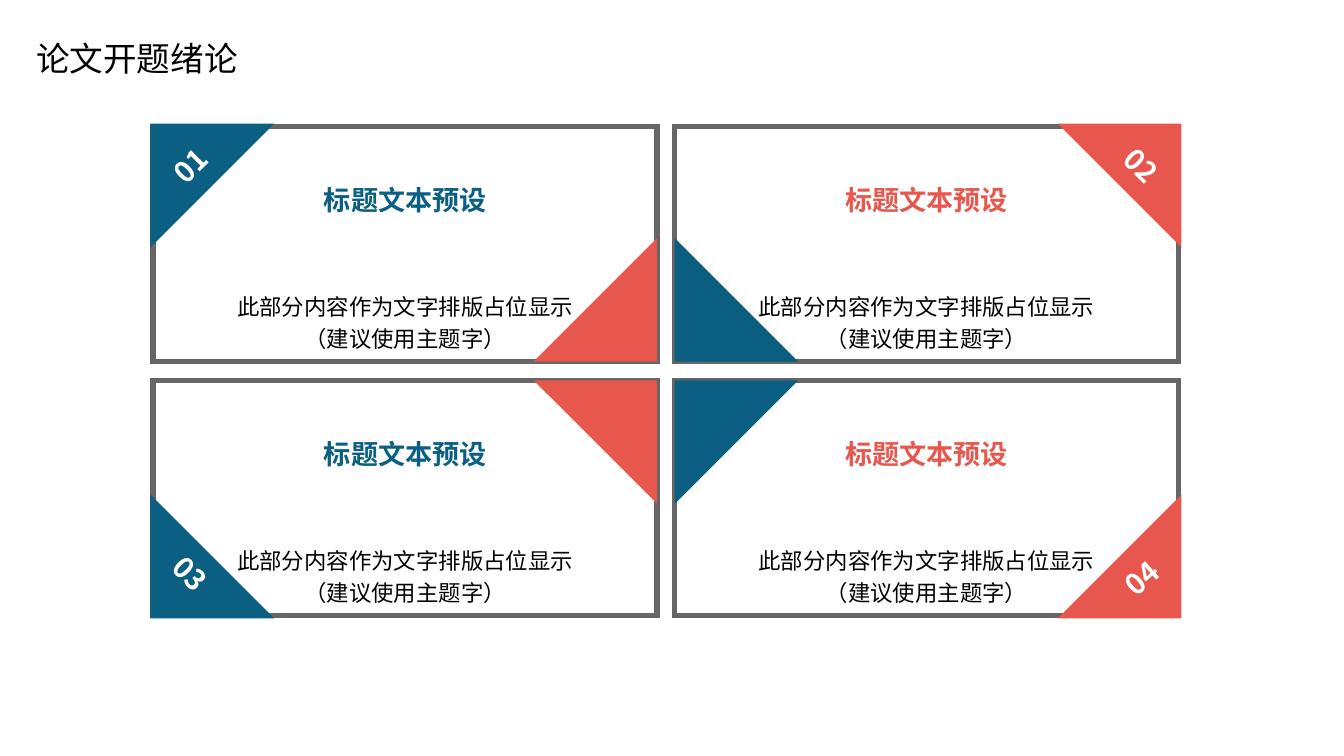
from lxml import etree
from pptx import Presentation
from pptx.dml.color import RGBColor
from pptx.enum.shapes import MSO_SHAPE
from pptx.enum.text import MSO_ANCHOR, MSO_AUTO_SIZE, PP_ALIGN
from pptx.oxml.ns import qn
from pptx.util import Pt

RECTANGLE = MSO_SHAPE.RECTANGLE
TRIANGLE = MSO_SHAPE.RIGHT_TRIANGLE
LEFT, CENTER = PP_ALIGN.LEFT, PP_ALIGN.CENTER
MIDDLE = MSO_ANCHOR.MIDDLE
NO_AUTO_SIZE = MSO_AUTO_SIZE.NONE

FONT = "Noto Sans CJK SC"
BLACK, WHITE, GRAY = "000000", "FFFFFF", "666666"
BLUE, RED = "0B5F83", "E8574E"
COLUMN_COLORS = (BLUE, RED)

CARD_LEFTS = (82.1, 361.4)
CARD_TOPS = (67.7, 203.8)
CARD_WIDTH, CARD_HEIGHT = 270, 126
OUTER_SIZE, INNER_SIZE = 61.2, 66.2
NUMBER_WIDTH, NUMBER_HEIGHT = 26, 21.6
NUMBER_INSET = 6.8
HEADING_WIDTH, HEADING_HEIGHT = 96, 22.3
CORNER_ROTATIONS = {(0, 1): 0, (0, 0): 90, (1, 0): 180, (1, 1): 270}

HEADING = "标题文本预设"
BODY = "此部分内容作为文字排版占位显示\n（建议使用主题字）"
CARDS = (
    ("01", 0, 0, 10.1, 315),
    ("02", 1, 0, 10.1, 45),
    ("03", 0, 1, 92.9, 45.3),
    ("04", 1, 1, 95, 318.3),
)


def color(value):
    return RGBColor.from_string(value)


class SlideBuilder:
    def __init__(self, slide):
        self.slide = slide
        self.shapes = slide.shapes

    def start_group(self):
        self.shapes = self.slide.shapes.add_group_shape().shapes

    def set_text(self, shape, text, size, text_color, bold=False, align=CENTER,
                 margins=(0, 0, 0, 0), wrap=False, spacing=1.0):
        frame = shape.text_frame
        frame.auto_size = NO_AUTO_SIZE
        frame.word_wrap = wrap
        frame.vertical_anchor = MIDDLE
        (frame.margin_left, frame.margin_top,
         frame.margin_right, frame.margin_bottom) = map(Pt, margins)
        paragraph = frame.paragraphs[0]
        paragraph.text = text
        paragraph.alignment = align
        paragraph.line_spacing = spacing
        for run in paragraph.runs:
            run.font.size = Pt(size)
            run.font.bold = bold
            run.font.color.rgb = color(text_color)
            run.font.name = FONT
            east_asian = etree.SubElement(run._r.get_or_add_rPr(), qn("a:ea"))
            east_asian.set("typeface", FONT)

    def title(self, text, left, top, width, height):
        title = self.slide.shapes.title
        title.left, title.top = Pt(left), Pt(top)
        title.width, title.height = Pt(width), Pt(height)
        self.set_text(title, text, 18, BLACK, align=LEFT, margins=(7.2, 3.6, 7.2, 3.6))

    def shape(self, kind, left, top, width, height, fill=None, line=None, rotation=0):
        shape = self.shapes.add_shape(kind, Pt(left), Pt(top), Pt(width), Pt(height))
        shape.shadow.inherit = False
        shape.rotation = rotation
        if fill:
            shape.fill.solid()
            shape.fill.fore_color.rgb = color(fill)
        else:
            shape.fill.background()
        if line:
            shape.line.color.rgb = color(line)
            shape.line.width = Pt(3)
            outline = shape._element.spPr.find(qn("a:ln"))
            etree.SubElement(outline, qn("a:miter")).set("lim", "800000")
        else:
            shape.line.fill.background()
        return shape

    def label(self, text, left, top, width, height, size, text_color, rotation=0):
        box = self.shapes.add_textbox(Pt(left), Pt(top), Pt(width), Pt(height))
        box.rotation = rotation
        self.set_text(box, text, size, text_color, bold=True)

    def corner(self, column, row, card_left, card_top, size, fill, line=None):
        left = card_left + column * (CARD_WIDTH - size)
        top = card_top + row * (CARD_HEIGHT - size)
        rotation = CORNER_ROTATIONS[column, row]
        self.shape(TRIANGLE, left, top, size, size, fill, line, rotation)

    def card(self, number, column, row, number_offset, number_rotation):
        self.start_group()
        left, top = CARD_LEFTS[column], CARD_TOPS[row]
        main_color, accent = COLUMN_COLORS[column], COLUMN_COLORS[1 - column]
        frame = self.shape(RECTANGLE, left, top, CARD_WIDTH, CARD_HEIGHT, line=GRAY)
        self.set_text(frame, BODY, 12, BLACK, margins=(7.2, 85, 7.2, 3.6),
                      wrap=True, spacing=1.2)
        self.corner(column, row, left, top, OUTER_SIZE, main_color, main_color)
        self.corner(1 - column, 1 - row, left, top, INNER_SIZE, accent)
        number_travel = CARD_WIDTH - NUMBER_WIDTH - 2 * NUMBER_INSET
        self.label(number, left + NUMBER_INSET + column * number_travel,
                   top + number_offset, NUMBER_WIDTH, NUMBER_HEIGHT, 15.3, WHITE,
                   number_rotation)
        self.label(HEADING, left + (CARD_WIDTH - HEADING_WIDTH) / 2, top + 28,
                   HEADING_WIDTH, HEADING_HEIGHT, 14.5, main_color)


def main():
    presentation = Presentation()
    presentation.slide_width, presentation.slide_height = Pt(720), Pt(405)
    slide = presentation.slides.add_slide(presentation.slide_layouts[5])
    builder = SlideBuilder(slide)
    builder.title("论文开题绪论", 12.2, 16.6, 123.8, 28.8)
    for card in CARDS:
        builder.card(*card)
    presentation.save("out.pptx")


if __name__ == "__main__":
    main()
